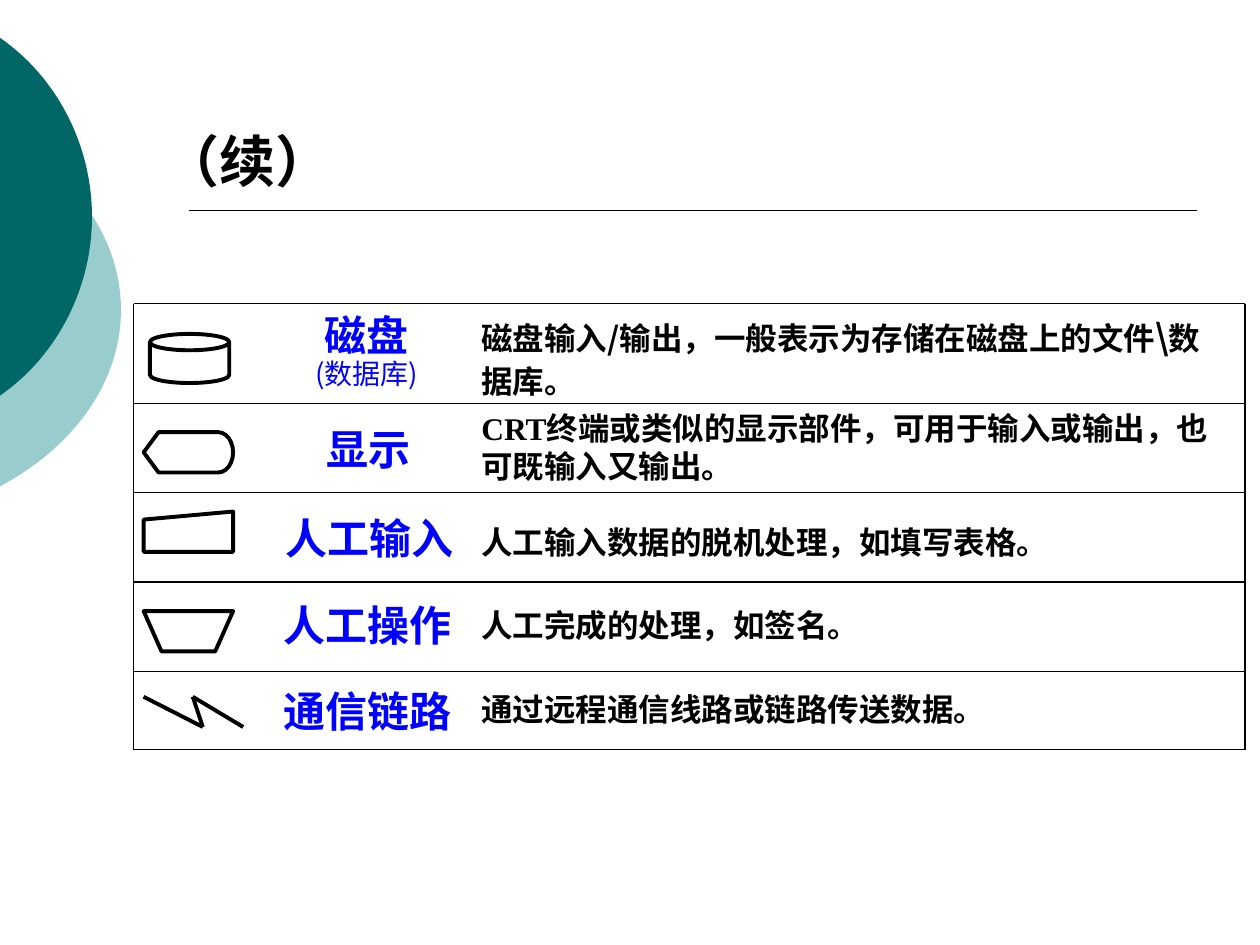
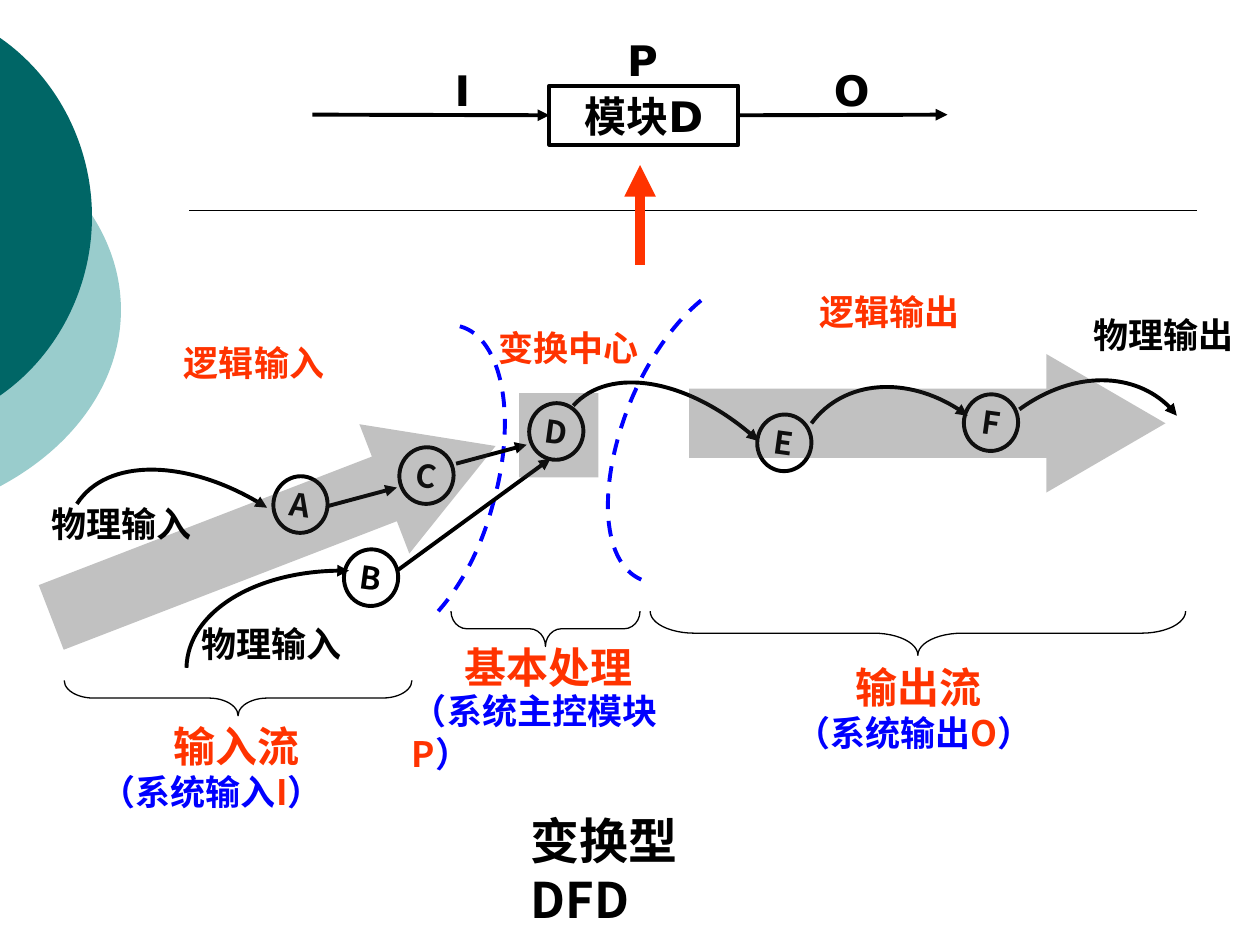
"""Build two slides: a grid of flowchart symbols, and a transform-type data flow diagram."""
import dataclasses
import itertools

import lxml.etree
import pptx
import pptx.dml.color
import pptx.enum.dml
import pptx.enum.shapes
import pptx.enum.text
import pptx.oxml.ns
import pptx.util

Inches = pptx.util.Inches
Kind = pptx.enum.shapes.MSO_SHAPE
Align = pptx.enum.text.PP_ALIGN
qn = pptx.oxml.ns.qn


class Theme:
    """Colours, faces and type sizes."""
    ink, blue, red, gray = "000000", "0000FF", "FF3300", "333333"
    teal, pale = "006666", "99CCCC"
    cjk, sans, serif, plain = "Noto Sans CJK SC", "DejaVu Sans", "Times New Roman", "Roboto"
    title, cap, head, label, body, note = 32, 28, 24, 20, 18, 16
    thin, rule, bold, fat = 0.75, 1, 2.25, 6
    lead, tight = 1.2, 1.08


@dataclasses.dataclass
class Bit:
    """A stretch of text in one style."""
    text: str
    size: int = Theme.body
    hue: str = Theme.ink
    face: str = Theme.cjk
    bold: bool = True


def name(text):
    """Give the style of a symbol's name."""
    return [[Bit(text, Theme.head, Theme.blue, Theme.plain)]]


def head(text):
    """Give the style of a stream's heading."""
    return [[Bit(text, Theme.head, Theme.red)]]


def label(text, hue=Theme.ink, face=Theme.cjk):
    """Give the style of a diagram label."""
    return [[Bit(text, Theme.label, hue, face)]]


def tagged(text, mark):
    """Give a blue label that closes with a red letter."""
    return [label(text, Theme.blue)[0] + label(mark, Theme.red)[0] + label("）", Theme.blue)[0]]


DISCS = [
    (Theme.pale, [(0, 1.06), (0.6, 1.38), (0.96, 1.9), (0.96, 2.46)], [(-3.54, 0.75), (0.96, 4.17)]),
    (Theme.teal, [(0, 0.3), (0.46, 0.62), (0.73, 1.16), (0.73, 1.72)], [(-2.65, 0), (0.73, 3.45)]),
]

SIDES = (1.06, 9.88)
EDGES = [2.41, 3.2, 3.91, 4.62, 5.33, 5.95]
DISK = [[Bit("磁盘", Theme.head, Theme.blue)],
        [Bit("(数据库)", Theme.note, Theme.blue, bold=False)]]
TERMS = [
    ((2.48, 3.36, 0.78, 0.4), name("显示")),
    ((2.18, 4.07, 1.42, 0.4), name("人工输入")),
    ((2.24, 4.76, 1.34, 0.4), name("人工操作")),
    ((2.24, 5.44, 1.34, 0.4), name("通信链路")),
]
NOTES = [
    (2.52, 5.75, 0.64, [Bit("磁盘输入/输出，一般表示为存储在磁盘上的文件"),
                        Bit("\\", Theme.label), Bit("数据库。")]),
    (3.25, 5.98, 0.6, [Bit("CRT", face=Theme.serif),
                       Bit("终端或类似的显示部件，可用于输入或输出，也可既输入又输出。")]),
    (4.15, 4.57, 0.3, [Bit("人工输入数据的脱机处理，如填写表格。")]),
    (4.81, 3.39, 0.3, [Bit("人工完成的处理，如签名。")]),
    (5.48, 4.17, 0.3, [Bit("通过远程通信线路或链路传送数据。")]),
]
SIGNS = [
    (Kind.FLOWCHART_MAGNETIC_DISK, (1.19, 2.65, 0.63, 0.39)),
    (Kind.FLOWCHART_DISPLAY, (1.14, 3.43, 0.71, 0.32)),
    (Kind.FLOWCHART_MANUAL_INPUT, (1.14, 4.06, 0.71, 0.32)),
    (Kind.FLOWCHART_MANUAL_OPERATION, (1.14, 4.85, 0.71, 0.32)),
]
BOLT = [(1.14, 5.53), (1.61, 5.77), (1.53, 5.53), (1.93, 5.77)]

NODES = {"A": (2.17, 3.78), "C": (3.17, 3.55), "D": (4.2, 3.2),
         "B": (2.73, 4.36), "E": (6.01, 3.29), "F": (7.65, 3.13)}
LINKS = [((2.59, 4.02), (3.15, 3.87)), ((3.62, 3.68), (4.18, 3.53)), ((3.15, 4.53), (4.37, 3.64))]
FLOWS = [
    [(4.55, 3.22), (4.84, 2.9), (5.5, 3.02), (6.02, 3.5)],
    [(0.61, 4), (0.85, 3.63), (1.53, 3.65), (2.12, 4.03)],
    [(8.09, 3.25), (8.53, 2.93), (9.09, 2.96), (9.34, 3.3)],
    [(6.44, 3.36), (6.7, 3.01), (7.26, 2.98), (7.68, 3.3)],
    [(1.48, 5.3), (1.49, 4.86), (2.06, 4.51), (2.77, 4.53)],
]
BOUNDS = [
    [(3.65, 2.59), (3.99, 2.68), (4.11, 3.32), (3.91, 4.01), (3.82, 4.35), (3.66, 4.65), (3.47, 4.86)],
    [(5.09, 4.6), (4.76, 4.46), (4.74, 3.81), (5.02, 3.15), (5.16, 2.83), (5.36, 2.55), (5.57, 2.38)],
]
BRACES = [((1.75, 4.16, 0.28, 2.76), 0.83), ((7.11, 2.9, 0.35, 4.25), 1), ((4.19, 4.24, 0.28, 1.5), 0.45)]
SHADES = [
    (Kind.RIGHT_ARROW, (5.47, 2.81, 3.78, 1.1), 0),
    (Kind.RIGHT_ARROW, (0.28, 3.67, 3.78, 1.1), 338.9),
    (Kind.RECTANGLE, (4.12, 3.12, 0.63, 0.67), 0),
]
LABELS = [
    ((0.41, 3.99, 1.12, 0.33), label("物理输入")),
    ((8.68, 2.49, 1.12, 0.33), label("物理输出")),
    ((1.6, 4.94, 1.12, 0.33), label("物理输入")),
    ((1.46, 2.71, 1.19, 0.33), label("逻辑输入", Theme.red)),
    ((6.5, 2.31, 1.19, 0.33), label("逻辑输出", Theme.red)),
    ((1.38, 5.72, 1.1, 0.4), head("输入流")),
    ((0.8, 6.12, 2.23, 0.33), tagged("（系统输入", "I")),
    ((6.79, 5.25, 1.05, 0.4), head("输出流")),
    ((6.31, 5.65, 2.31, 0.33), tagged("（系统输出", "O")),
    ((3.69, 5.09, 1.39, 0.4), head("基本处理")),
    ((3.27, 5.48, 2.36, 0.66), tagged("（系统主控模块 ", "P")),
]
PORTS = [("I", 3.37, 0.55), ("P", 4.8, 0.31), ("O", 6.46, 0.55)]


def color(hue):
    """Turn a hex string into a colour."""
    return pptx.dml.color.RGBColor.from_string(hue)


def write(frame, lines, align=Align.LEFT, lead=Theme.lead):
    """Fill a text frame with styled lines."""
    frame.text = "\n".join("" for _ in lines)
    for par, bits in zip(frame.paragraphs, lines):
        par.alignment = align
        par.space_before = pptx.util.Pt(0)
        par.line_spacing = pptx.util.Pt(lead * max(bit.size for bit in bits))
        for bit in bits:
            run = par.add_run()
            run.text = bit.text
            run.font.size = pptx.util.Pt(bit.size)
            run.font.bold = bit.bold
            run.font.color.rgb = color(bit.hue)
            run.font.name = bit.face
            east = lxml.etree.SubElement(run._r.get_or_add_rPr(), qn("a:ea"))
            east.set("typeface", Theme.cjk)


def setup(frame, wrap=True):
    """Clear the insets of a text frame and centre it upright."""
    frame.auto_size = pptx.enum.text.MSO_AUTO_SIZE.NONE
    frame.word_wrap = wrap
    frame.vertical_anchor = pptx.enum.text.MSO_ANCHOR.MIDDLE
    frame.margin_left = frame.margin_right = frame.margin_top = frame.margin_bottom = 0


def place(slide, box, lines, align=Align.LEFT, lead=Theme.lead):
    """Add a text box."""
    frame = slide.shapes.add_textbox(*map(Inches, box)).text_frame
    setup(frame)
    write(frame, lines, align, lead)


def title(slide, box, text, size):
    """Move and fill the title."""
    ph = slide.shapes.title
    ph.left, ph.top, ph.width, ph.height = map(Inches, box)
    setup(ph.text_frame)
    write(ph.text_frame, [[Bit(text, size)]])


def style(shape, fill=None, hue=None, width=Theme.bold, tip=False):
    """Set fill, line and arrowhead."""
    shape.shadow.inherit = False
    if fill:
        shape.fill.solid()
        shape.fill.fore_color.rgb = color(fill)
    else:
        shape.fill.background()
    if hue:
        stroke(shape, hue, width, tip)
    else:
        shape.line.fill.background()
    return shape


def stroke(shape, hue, width, tip):
    """Draw the line of a shape or connector."""
    shape.line.color.rgb = color(hue)
    shape.line.width = pptx.util.Pt(width)
    if tip:
        end = lxml.etree.SubElement(shape.element.find(".//" + qn("a:ln")), qn("a:tailEnd"))
        end.set("type", "triangle")


def link(slide, start, end, hue=Theme.ink, width=Theme.bold, tip=False):
    """Add a straight connector."""
    line = slide.shapes.add_connector(
        pptx.enum.shapes.MSO_CONNECTOR.STRAIGHT, *map(Inches, start + end))
    stroke(line, hue, width, tip)
    lxml.etree.SubElement(line.element.spPr, qn("a:effectLst"))
    return line


def shape(slide, kind, box, **look):
    """Add a preset shape."""
    return style(slide.shapes.add_shape(kind, *map(Inches, box)), **look)


def curve(slide, knots, span=(), **look):
    """Draw joined cubic curves, closed and set within the span if one is given."""
    dots = [(Inches(x), Inches(y)) for x, y in knots]
    ends = [(Inches(x), Inches(y)) for x, y in span]
    pen = slide.shapes.build_freeform(*(ends or dots)[0])
    if ends:
        pen.move_to(*dots[0])
    pen.add_line_segments(dots[1:], close=bool(ends))
    if ends:
        pen.move_to(*ends[1])
    form = pen.convert_to_shape()
    legs = form.element.findall(".//" + qn("a:lnTo"))
    for at in range(0, len(legs), 3):
        bend = lxml.etree.Element(qn("a:cubicBezTo"))
        legs[at].addprevious(bend)
        for leg in legs[at:at + 3]:
            bend.append(leg[0])
            leg.getparent().remove(leg)
    return style(form, **look)


def decor(slide, layout):
    """Draw the discs and the rule, then hand them to the layout."""
    parts = []
    for hue, arc, span in DISCS:
        mid = arc[-1][1]
        lower = [(x, 2 * mid - y) for x, y in arc[-2::-1]]
        parts.append(curve(slide, arc + lower, span, fill=hue))
    parts.append(link(slide, (1.5, 1.67), (9.5, 1.67), width=Theme.rule))
    for at, part in enumerate(parts):
        part.element.find(".//" + qn("p:cNvPr")).set("id", str(20 + at))
        layout.shapes.element.insert(2 + at, part.element)


def symbols(slide):
    """Build the ruled list of symbols."""
    title(slide, (1.3, 1.01, 1.34, 0.53), "（续）", Theme.title)
    for kind, box in SIGNS:
        shape(slide, kind, box, hue=Theme.ink)
    for start, end in itertools.pairwise(BOLT):
        link(slide, start, end)
    place(slide, (2.4, 2.5, 1.02, 0.6), DISK, Align.CENTER, Theme.tight)
    for box, lines in TERMS:
        place(slide, box, lines, Align.RIGHT)
    for top, width, height, bits in NOTES:
        place(slide, (3.82, top, width, height), [bits])
    for y in EDGES:
        link(slide, (SIDES[0], y), (SIDES[1], y), width=Theme.thin)
    for x in SIDES:
        link(slide, (x, EDGES[0]), (x, EDGES[-1]), width=Theme.thin)


def diagram(slide):
    """Build the data flow diagram."""
    title(slide, (4.21, 6.43, 1.5, 0.94), "变换型DFD", Theme.cap)
    for knots in BOUNDS:
        curve(slide, knots, hue=Theme.blue).line.dash_style = pptx.enum.dml.MSO_LINE.DASH
    for text, spot in NODES.items():
        node = shape(slide, Kind.OVAL, spot + (0.43, 0.45), hue=Theme.ink)
        node.rotation = 7.8
        setup(node.text_frame, wrap=False)
        write(node.text_frame, [[Bit(text)]], Align.CENTER)
    for start, end in LINKS:
        link(slide, start, end, tip=True)
    for knots in FLOWS:
        curve(slide, knots, hue=Theme.ink, tip=True)
    for box, bend in BRACES:
        brace = shape(slide, Kind.LEFT_BRACE, box, hue=Theme.ink, width=Theme.thin)
        brace.rotation = 270
        brace.adjustments[0] = bend
    for kind, box, turn in SHADES:
        shade = shape(slide, kind, box, fill=Theme.gray)
        shade.rotation = turn
        if kind == Kind.RIGHT_ARROW:
            shade.adjustments[1] = 0.86
        lxml.etree.SubElement(shade.element.find(".//" + qn("a:srgbClr")), qn("a:alpha"), val="30000")
    for box, lines in LABELS:
        place(slide, box, lines)
    place(slide, (3.88, 2.56, 1.26, 0.39), label("变换中心", Theme.red, Theme.sans), Align.CENTER)
    core = shape(slide, Kind.RECTANGLE, (4.36, 0.68, 1.5, 0.47), hue=Theme.ink)
    setup(core.text_frame, wrap=False)
    write(core.text_frame, [[Bit("模块D", Theme.head, face=Theme.sans)]], Align.CENTER)
    link(slide, (2.48, 0.91), (4.36, 0.91), tip=True).end_connect(core, 1)
    link(slide, (5.86, 0.91), (7.52, 0.91), tip=True).begin_connect(core, 3)
    for text, left, top in PORTS:
        place(slide, (left, top, 0.6, 0.32), [[Bit(text, Theme.head, face=Theme.sans)]], Align.CENTER)
    link(slide, (5.08, 2.1), (5.08, 1.31), Theme.red, Theme.fat, tip=True)


def main():
    """Build and save the slides."""
    deck = pptx.Presentation()
    deck.slide_width, deck.slide_height = Inches(10), Inches(7.5)
    layout = deck.slide_layouts[5]
    first, second = (deck.slides.add_slide(layout) for _ in range(2))
    decor(first, layout)
    symbols(first)
    diagram(second)
    deck.save("out.pptx")


if __name__ == "__main__":
    main()
